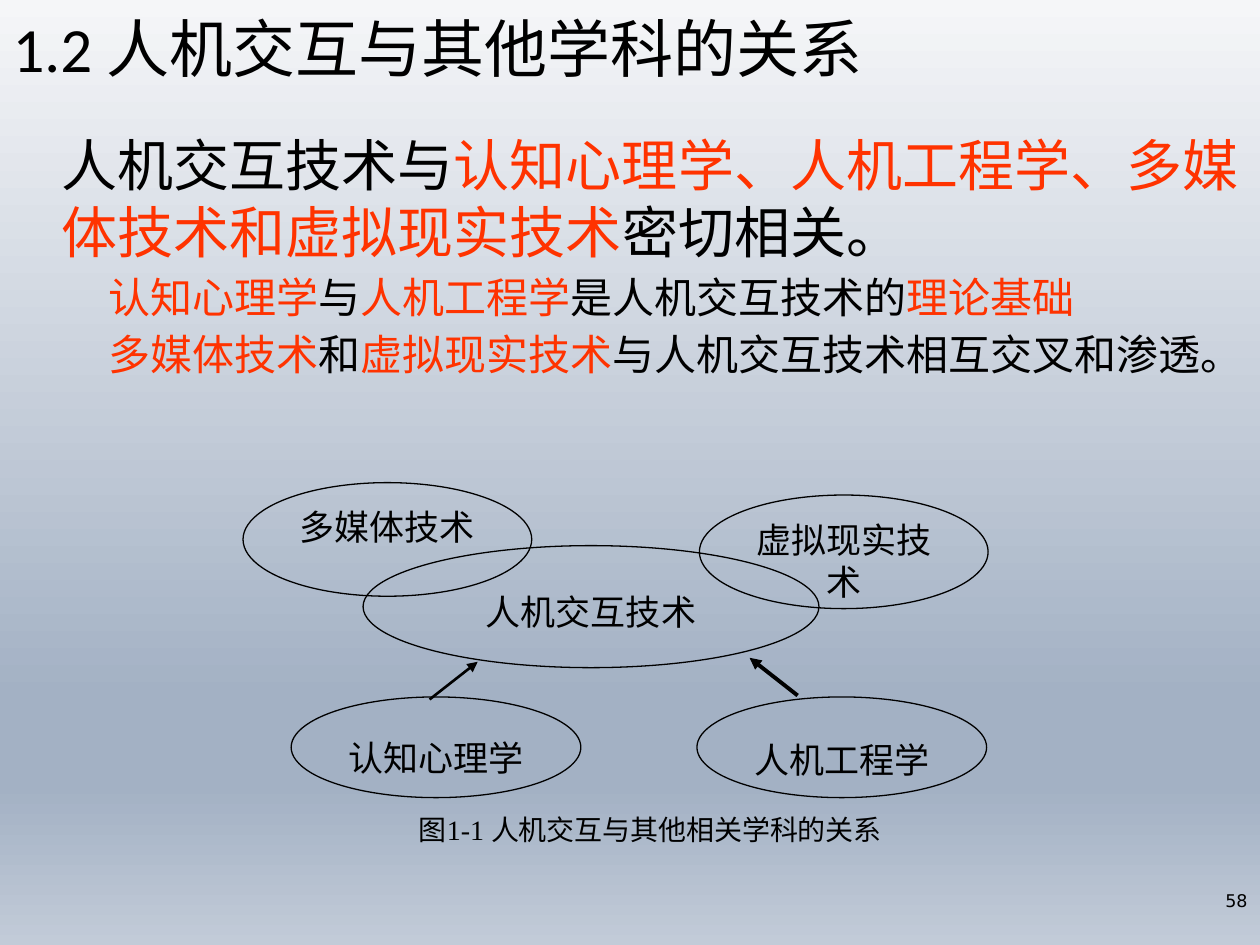
from lxml.etree import SubElement
from pptx import Presentation
from pptx.dml.color import RGBColor
from pptx.enum.shapes import MSO_CONNECTOR as CONN, MSO_SHAPE as SHAPE
from pptx.enum.text import MSO_ANCHOR as ANCHOR, MSO_AUTO_SIZE as FIT, PP_ALIGN as ALIGN
from pptx.oxml.ns import qn
from pptx.util import Cm, Pt

BLACK = RGBColor(0, 0, 0)
RED = RGBColor(0xFF, 0x33, 0x00)
PALE = RGBColor(0xF5, 0xF6, 0xF8)
STEEL = RGBColor(0xA3, 0xB1, 0xC4)
MIST = RGBColor(0xC2, 0xCB, 0xD8)
LATIN, CJK, SERIF, NUMERIC = "Calibri", "Noto Sans CJK SC", "Times New Roman", "DejaVu Sans"


def set_all(obj, formats):
    """Set each named attribute of an object."""
    for name, value in formats.items():
        setattr(obj, name, value)


def box_cm(left, top, width, height):
    """Return a box in centimetres as lengths."""
    return [Cm(v) for v in (left, top, width, height)]


def add_run(p, text, size, font=LATIN, color=BLACK):
    """Append a formatted run with an East Asian font."""
    r = p.add_run()
    r.text = text
    set_all(r.font, {"size": Pt(size), "name": font})
    r.font.color.rgb = color
    SubElement(r.font._element, qn("a:ea"), typeface=CJK)


def paint_background(slide):
    """Fill the slide with a vertical gradient."""
    fill = slide.background.fill
    fill.gradient()
    fill.gradient_angle = 270
    stops = slide.element.find(".//" + qn("a:gsLst"))
    for gs in list(stops):
        stops.remove(gs)
    for percent, color in ((0, PALE), (74, STEEL), (83, STEEL), (100, MIST)):
        gs = SubElement(stops, qn("a:gs"), pos=str(percent * 1000))
        SubElement(gs, qn("a:srgbClr"), val=str(color))


def add_title(slide, box, text):
    """Place and format the title placeholder."""
    sp = slide.shapes.title
    set_all(sp, dict(zip(("left", "top", "width", "height"), box_cm(*box))))
    tf = sp.text_frame
    set_all(tf, {"auto_size": FIT.NONE, "word_wrap": True, "vertical_anchor": ANCHOR.MIDDLE})
    p = tf.paragraphs[0]
    set_all(p, {"alignment": ALIGN.LEFT, "line_spacing": 0.9})
    add_run(p, text, 36)


def add_body(slide, box, paragraphs):
    """Add a lead paragraph and its indented points."""
    tf = slide.shapes.add_textbox(*box_cm(*box)).text_frame
    tf.word_wrap = True
    for i, runs in enumerate(paragraphs):
        p = tf.add_paragraph() if i else tf.paragraphs[0]
        if i:
            set_all(p, {"level": 1, "space_before": Pt(3.8)})
            p._p.get_or_add_pPr().set("marL", str(Cm(0.94)))
        for text, color in runs:
            add_run(p, text, 24 if i else 32, color=color)


def add_ellipse(shapes, box, text, margin_top):
    """Add an outlined ellipse with centred text."""
    sp = shapes.add_shape(SHAPE.OVAL, *box_cm(*box))
    sp.shadow.inherit = False
    sp.fill.background()
    sp.line.color.rgb = BLACK
    sp.line.width = Pt(0.75)
    tf = sp.text_frame
    set_all(tf, {"word_wrap": True, "vertical_anchor": ANCHOR.TOP, "margin_top": Cm(margin_top)})
    p = tf.paragraphs[0]
    p.alignment = ALIGN.CENTER
    add_run(p, text, 20, CJK)


def add_arrow(shapes, start, end, width):
    """Add a straight arrow between two points."""
    line = shapes.add_connector(CONN.STRAIGHT, *[Cm(v) for v in (*start, *end)])
    line.line.color.rgb = BLACK
    line.line.width = Pt(width)
    SubElement(line.line._get_or_add_ln(), qn("a:tailEnd"), type="triangle")
    SubElement(line._element.spPr, qn("a:effectLst"))


def add_diagram(slide, x, y):
    """Add the grouped relation diagram and its caption."""
    shapes = slide.shapes.add_group_shape().shapes
    for dx, dy, w, h, text, margin in (
        (0, 0, 5.82, 2.29, "多媒体技术", 0.13),
        (9.2, 0.25, 5.82, 2.29, "虚拟现实技术", 0.13),
        (0.97, 4.32, 5.84, 2.03, "认知心理学", 0.51),
        (9.15, 4.32, 5.84, 2.03, "人机工程学", 0.55),
        (2.42, 1.27, 9.19, 2.46, "人机交互技术", 0.55),
    ):
        add_ellipse(shapes, (x + dx, y + dy, w, h), text, margin)
    add_arrow(shapes, (x + 3.76, y + 4.37), (x + 4.73, y + 3.61), 1.5)
    add_arrow(shapes, (x + 11.18, y + 4.29), (x + 10.21, y + 3.53), 2.25)
    tf = shapes.add_textbox(*box_cm(x + 1.93, y + 6.63, 12.57, 0.76)).text_frame
    set_all(tf, {"word_wrap": True, "margin_left": Cm(0.05), "margin_right": Cm(0.05),
                 "margin_top": Cm(0.03), "margin_bottom": Cm(0.03)})
    p = tf.paragraphs[0]
    p.alignment = ALIGN.CENTER
    add_run(p, "图1-1 ", 16, SERIF)
    add_run(p, "人机交互与其他相关学科的关系", 16, CJK)


def add_page_number(slide, box, number):
    """Add the page number at the lower right."""
    tf = slide.shapes.add_textbox(*box_cm(*box)).text_frame
    set_all(tf, {"word_wrap": True, "vertical_anchor": ANCHOR.MIDDLE})
    p = tf.paragraphs[0]
    p.alignment = ALIGN.RIGHT
    add_run(p, number, 10, NUMERIC)


def main():
    """Build and save the slide."""
    prs = Presentation()
    set_all(prs, {"slide_width": Cm(25.4), "slide_height": Cm(19.05)})
    s = prs.slides.add_slide(prs.slide_layouts[5])
    paint_background(s)
    add_title(s, (0, 0.18, 22.1, 1.73), "1.2 人机交互与其他学科的关系")
    add_body(s, (0.99, 2.51, 24.41, 16.2), (
        (("人机交互技术与", BLACK),
         ("认知心理学、人机工程学、多媒体技术和虚拟现实技术", RED),
         ("密切相关。", BLACK)),
        (("认知心理学", RED), ("与", BLACK), ("人机工程学", RED),
         ("是人机交互技术的", BLACK), ("理论基础", RED)),
        (("多媒体技术", RED), ("和", BLACK), ("虚拟现实技术", RED),
         ("与人机交互技术相互交叉和渗透。", BLACK)),
    ))
    add_page_number(s, (19.69, 17.65, 5.71, 1.02), "58")
    add_diagram(s, 4.9, 9.73)
    prs.save("out.pptx")


if __name__ == "__main__":
    main()
